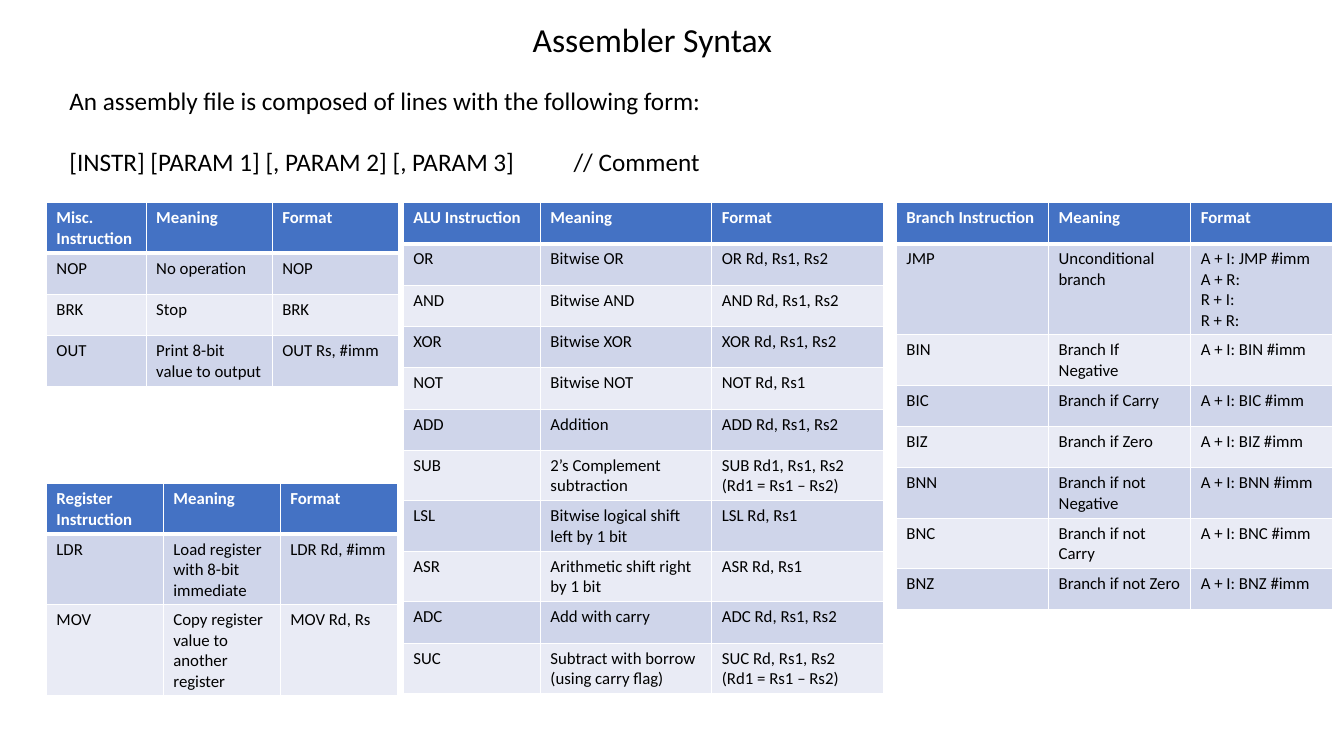
from lxml import etree
from pptx import Presentation
from pptx.dml.color import RGBColor
from pptx.enum.text import MSO_ANCHOR, MSO_AUTO_SIZE, PP_ALIGN
from pptx.oxml.ns import qn
from pptx.util import Inches, Pt

CENTER = PP_ALIGN.CENTER
MIDDLE = MSO_ANCHOR.MIDDLE
FIT_SHAPE = MSO_AUTO_SIZE.SHAPE_TO_FIT_TEXT
TITLE_ONLY = 5

MISC_ROWS = [
    ("Misc. Instruction", "Meaning", "Format"),
    ("NOP", "No operation", "NOP"),
    ("BRK", "Stop", "BRK"),
    ("OUT", "Print 8-bit value to output", "OUT Rs, #imm"),
]
ALU_ROWS = [
    ("ALU Instruction", "Meaning", "Format"),
    ("OR", "Bitwise OR", "OR Rd, Rs1, Rs2"),
    ("AND", "Bitwise AND", "AND Rd, Rs1, Rs2"),
    ("XOR", "Bitwise XOR", "XOR Rd, Rs1, Rs2"),
    ("NOT", "Bitwise NOT", "NOT Rd, Rs1"),
    ("ADD", "Addition", "ADD Rd, Rs1, Rs2"),
    ("SUB", "2’s Complement subtraction", "SUB Rd1, Rs1, Rs2 (Rd1 = Rs1 – Rs2)"),
    ("LSL", "Bitwise logical shift left by 1 bit", "LSL Rd, Rs1"),
    ("ASR", "Arithmetic shift right by 1 bit", "ASR Rd, Rs1"),
    ("ADC", "Add with carry", "ADC Rd, Rs1, Rs2"),
    ("SUC", "Subtract with borrow (using carry flag)", "SUC Rd, Rs1, Rs2\n(Rd1 = Rs1 – Rs2)"),
]
REGISTER_ROWS = [
    ("Register Instruction", "Meaning", "Format"),
    ("LDR", "Load register with 8-bit immediate", "LDR Rd, #imm"),
    ("MOV", "Copy register value to another register", "MOV Rd, Rs"),
]
BRANCH_ROWS = [
    ("Branch Instruction", "Meaning", "Format"),
    ("JMP", "Unconditional branch", "A + I: JMP #imm\nA + R:\nR + I:\nR + R:"),
    ("BIN", "Branch If Negative", "A + I: BIN #imm"),
    ("BIC", "Branch if Carry", "A + I: BIC #imm"),
    ("BIZ", "Branch if Zero", "A + I: BIZ #imm"),
    ("BNN", "Branch if not Negative", "A + I: BNN #imm"),
    ("BNC", "Branch if not Carry", "A + I: BNC #imm"),
    ("BNZ", "Branch if not Zero", "A + I: BNZ #imm"),
]


def color(value):
    """Turn a hex string into a colour."""
    return RGBColor.from_string(value)


class SyntaxSlide:
    """Holds the style and the slide being built."""

    font = "Calibri"
    text = "000000"
    white = "FFFFFF"
    header = "4472C4"
    bands = ("CFD5EA", "E9EBF5")
    row_height = 0.41

    def __init__(self, presentation):
        """Add a title-only slide."""
        self.slide = presentation.slides.add_slide(presentation.slide_layouts[TITLE_ONLY])

    def add_run(self, paragraph, text, size, shade, bold=False):
        """Add one formatted run."""
        run = paragraph.add_run()
        run.text = text
        run.font.name = self.font
        run.font.size = Pt(size)
        run.font.bold = bold
        run.font.color.rgb = color(shade)

    def add_title(self, text, left, top, width, height):
        """Place and fill the title placeholder."""
        title = self.slide.shapes.title
        title.left, title.top = Inches(left), Inches(top)
        title.width, title.height = Inches(width), Inches(height)
        title.text_frame.vertical_anchor = MIDDLE
        paragraph = title.text_frame.paragraphs[0]
        paragraph.alignment = CENTER
        paragraph.line_spacing = 0.9
        self.add_run(paragraph, text, 24, self.text)

    def add_text(self, lines, left, top, width, height, gap, tab):
        """Add a text box with spaced paragraphs and one tab stop."""
        shape = self.slide.shapes.add_textbox(Inches(left), Inches(top), Inches(width), Inches(height))
        frame = shape.text_frame
        frame.word_wrap = True
        frame.auto_size = FIT_SHAPE
        for index, line in enumerate(lines):
            paragraph = frame.add_paragraph() if index else frame.paragraphs[0]
            if index:
                paragraph.space_before = Pt(gap)
            if "\t" in line:
                properties = paragraph._p.get_or_add_pPr()
                tabs = etree.SubElement(properties, qn("a:tabLst"))
                etree.SubElement(tabs, qn("a:tab"), pos=str(Inches(tab)), algn="l")
            self.add_run(paragraph, line, 18, self.text)

    def add_borders(self, cell, row):
        """Draw white cell borders, thick below the header."""
        thick_sides = {0: "B", 1: "T"}
        properties = cell._tc.get_or_add_tcPr()
        for side in "LRTB":
            width = Pt(3 if thick_sides.get(row) == side else 1)
            line = etree.SubElement(properties, qn(f"a:ln{side}"), w=str(width))
            fill = etree.SubElement(line, qn("a:solidFill"))
            etree.SubElement(fill, qn("a:srgbClr"), val=self.white)

    def add_table(self, rows, left, top, widths):
        """Add a banded table with a header row."""
        height = self.row_height * len(rows)
        frame = self.slide.shapes.add_table(
            len(rows), len(widths), Inches(left), Inches(top), Inches(sum(widths)), Inches(height)
        )
        table = frame.table
        for column, width in zip(table.columns, widths):
            column.width = Inches(width)
        for row, values in enumerate(rows):
            table.rows[row].height = Inches(self.row_height)
            for column, value in enumerate(values):
                cell = table.cell(row, column)
                self.add_borders(cell, row)
                cell.fill.solid()
                cell.fill.fore_color.rgb = color(self.bands[(row - 1) % 2] if row else self.header)
                frame = cell.text_frame
                for index, line in enumerate(value.split("\n")):
                    paragraph = frame.add_paragraph() if index else frame.paragraphs[0]
                    self.add_run(paragraph, line, 12, self.text if row else self.white, row == 0)


def main():
    """Build and save the slide."""
    presentation = Presentation()
    presentation.slide_width = Inches(13.33)
    presentation.slide_height = Inches(7.5)
    page = SyntaxSlide(presentation)
    page.add_title("Assembler Syntax", 1.47, 0.13, 10, 0.56)
    page.add_text(
        [
            "An assembly file is composed of lines with the following form:",
            "[INSTR] [PARAM 1] [, PARAM 2] [, PARAM 3]\t// Comment",
        ],
        0.59, 0.8, 7.44, 1.01, gap=22, tab=5,
    )
    page.add_table(MISC_ROWS, 0.46, 2.01, (0.99, 1.25, 1.25))
    page.add_table(ALU_ROWS, 4, 2.01, (1.36, 1.7, 1.7))
    page.add_table(REGISTER_ROWS, 0.46, 4.8, (1.16, 1.16, 1.16))
    page.add_table(BRANCH_ROWS, 8.89, 2.01, (1.51, 1.41, 1.41))
    presentation.save("out.pptx")


if __name__ == "__main__":
    main()
